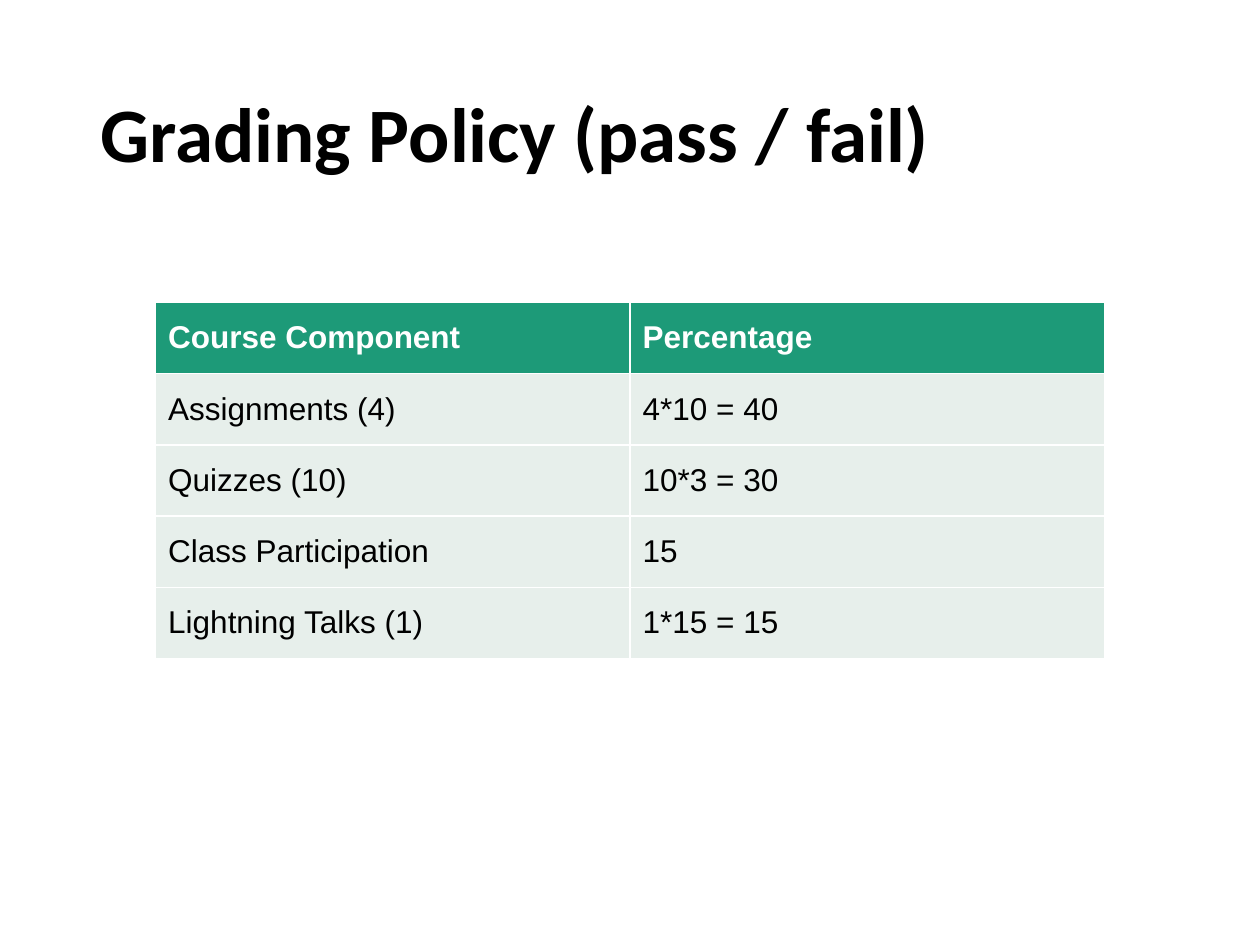
from pptx import Presentation
from pptx.dml.color import RGBColor
from pptx.enum.text import MSO_ANCHOR as Anchor, PP_ALIGN as Align
from pptx.util import Inches, Pt

GRADING = [
    ("Course Component", "Percentage"),
    ("Assignments (4)", "4*10 = 40"),
    ("Quizzes (10)", "10*3 = 30"),
    ("Class Participation", "15"),
    ("Lightning Talks (1)", "1*15 = 15"),
]


def color(hex_code):
    return RGBColor.from_string(hex_code)


class GradingPage:
    """Holds the style and the current slide; lengths are shares of its size."""

    TITLE_FONT, TABLE_FONT = "Calibri", "Arial"
    INK, PAPER = "000000", "FFFFFF"
    HEADER_FILL, ROW_FILL = "1D9A78", "E7EFEB"

    def __init__(self, deck):
        self.deck = deck
        self.page = deck.slides.add_slide(deck.slide_layouts[5])
        background = self.page.background.fill
        background.solid()
        background.fore_color.rgb = color(self.PAPER)

    def area(self, left, top, width, height):
        wide, high = self.deck.slide_width, self.deck.slide_height
        return (round(left * wide), round(top * high),
                round(width * wide), round(height * high))

    def style(self, para, name, size, ink, bold):
        font = para.font
        font.name, font.size, font.bold = name, Pt(size), bold
        font.color.rgb = color(ink)
        para.alignment = Align.LEFT

    def title(self, text, *shares):
        box = self.page.shapes.title
        box.left, box.top, box.width, box.height = self.area(*shares)
        frame = box.text_frame
        frame.text = text
        frame.vertical_anchor = Anchor.MIDDLE
        para = frame.paragraphs[0]
        para.line_spacing = 0.9
        self.style(para, self.TITLE_FONT, 44, self.INK, True)

    def table(self, rows, *shares):
        """Add a table; its built-in style draws the white rules."""
        table = self.page.shapes.add_table(
            len(rows), len(rows[0]), *self.area(*shares)).table
        for r, row in enumerate(rows):
            header = r == 0
            for c, text in enumerate(row):
                cell = table.cell(r, c)
                cell.text = text
                cell.vertical_anchor = Anchor.MIDDLE
                cell.fill.solid()
                cell.fill.fore_color.rgb = color(
                    self.HEADER_FILL if header else self.ROW_FILL)
                self.style(cell.text_frame.paragraphs[0], self.TABLE_FONT, 18,
                           self.PAPER if header else self.INK, header)


def main():
    deck = Presentation()
    deck.slide_width, deck.slide_height = Inches(10), Inches(7.5)
    page = GradingPage(deck)
    page.title("Grading Policy (pass / fail)", 0.07, 0.05, 0.86, 0.19)
    page.table(GRADING, 0.1235, 0.32, 0.753, 0.377)
    deck.save("out.pptx")


if __name__ == "__main__":
    main()
